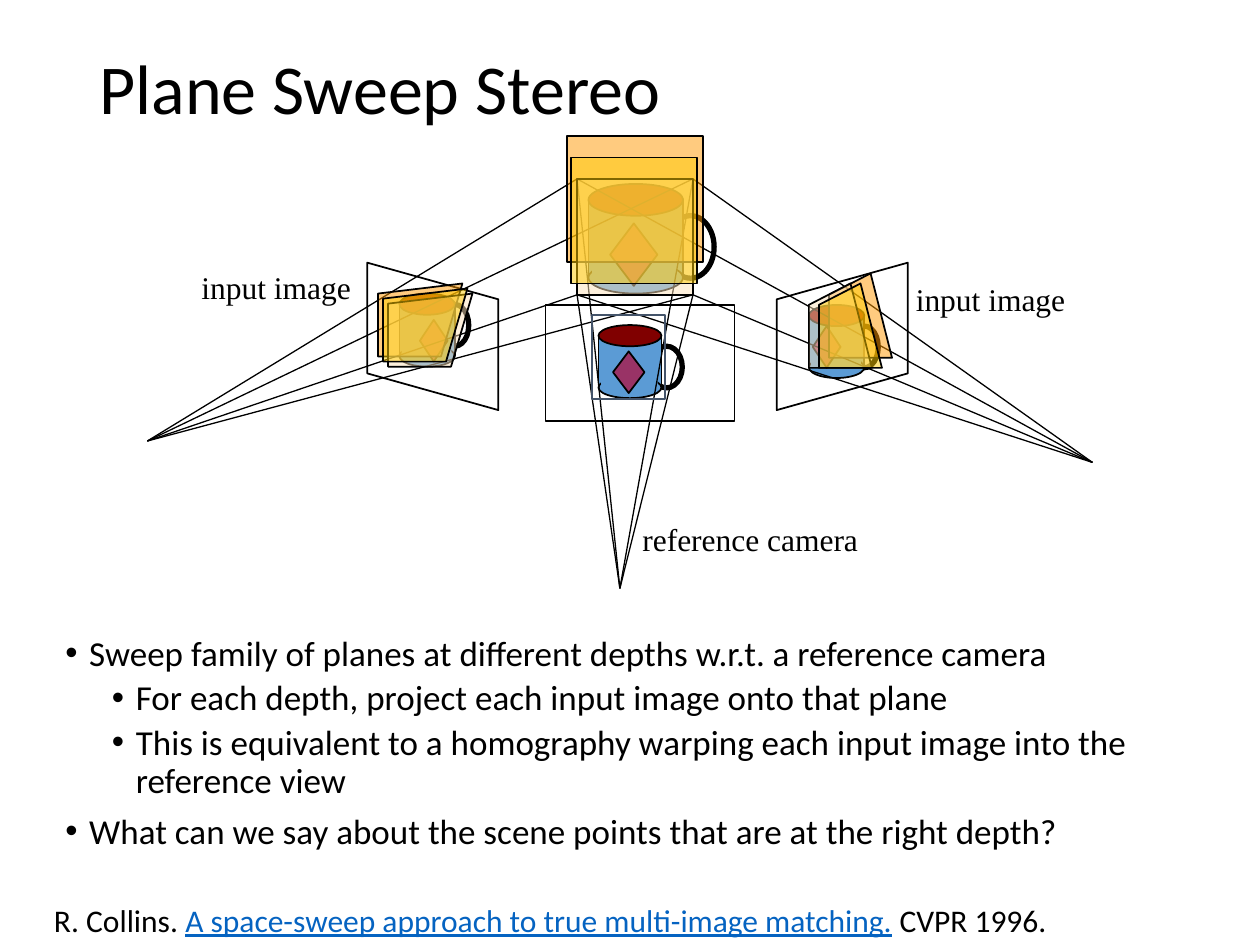
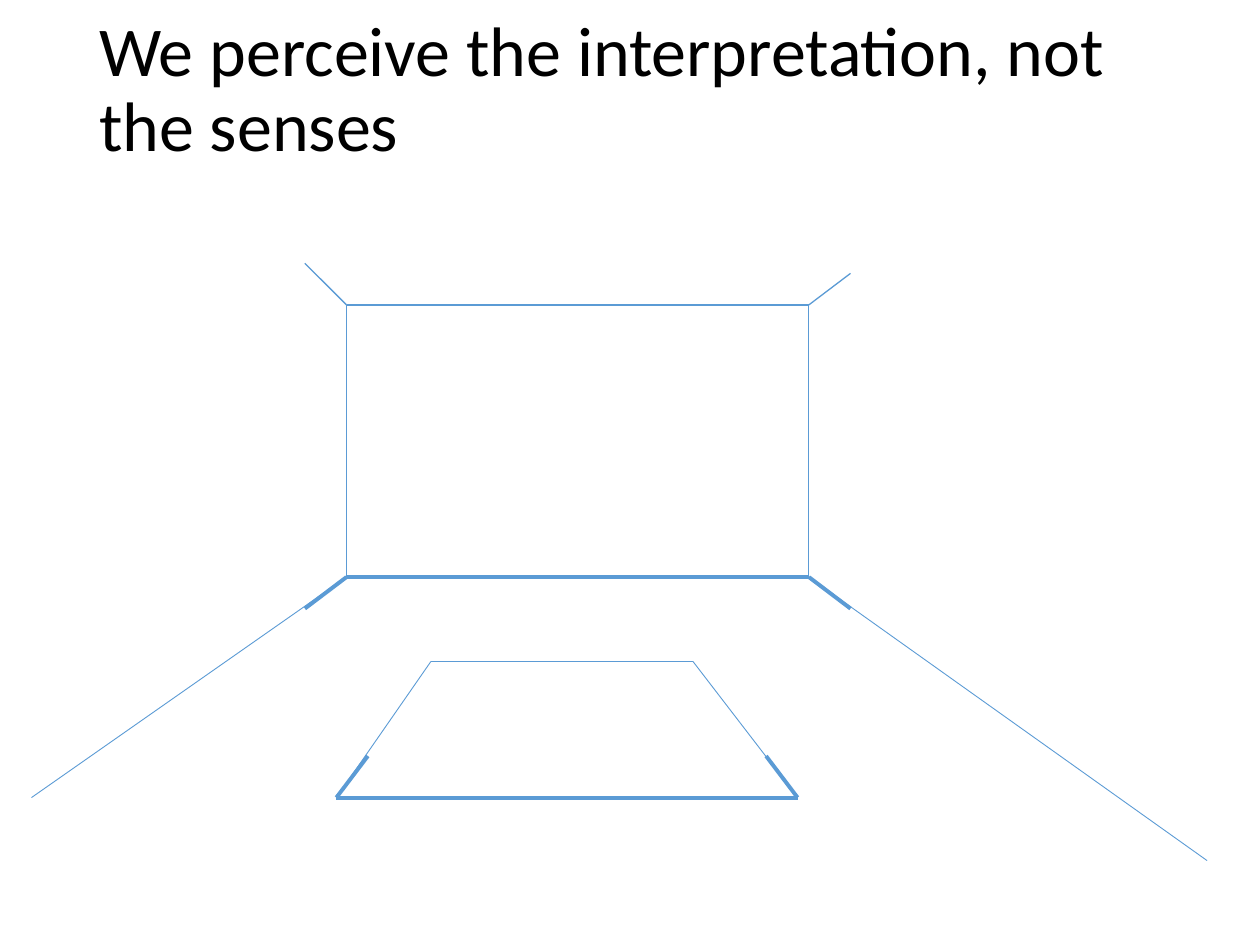
import pptx
import pptx.dml.color
import pptx.enum.shapes
import pptx.enum.text
import pptx.oxml.ns
import pptx.util
from lxml import etree

Inches = pptx.util.Inches
Pt = pptx.util.Pt
SHAPE = pptx.enum.shapes.MSO_SHAPE
ANCHOR = pptx.enum.text.MSO_ANCHOR
qn = pptx.oxml.ns.qn

COLORS = {
    "ink": "000000", "link": "0563C1", "blue": "5B9BD5", "slate": "44546A",
    "maroon": "800000", "plum": "993366",
    "orange": "FF9900", "cream": "FDE3BA", "yellow": "FFCC00",
}
TITLE_BOX = (0.69, 0, 8.62, 1.45)
SANS, SERIF = "Calibri", "Times New Roman"


def rgb(name):
    """Return the named palette colour."""
    return pptx.dml.color.RGBColor.from_string(COLORS[name])


def style(sp, fill=None, line=None, weight=1, alpha=None):
    """Set fill, outline and opacity of a shape and drop its shadow."""
    sp.shadow.inherit = False
    if fill:
        sp.fill.solid()
        sp.fill.fore_color.rgb = rgb(fill)
        if alpha:
            color = sp.fill._xPr.find(qn("a:solidFill"))[0]
            etree.SubElement(color, qn("a:alpha")).set("val", str(alpha * 1000))
    else:
        sp.fill.background()
    if line:
        sp.line.color.rgb = rgb(line)
        sp.line.width = Pt(weight)
    else:
        sp.line.fill.background()
    return sp


def add_preset(shapes, kind, box, **look):
    """Add a preset shape in a box given in inches."""
    return style(shapes.add_shape(kind, *map(Inches, box)), **look)


def add_outline(shapes, left, top, points, **look):
    """Add a closed outline whose points are offsets from left and top."""
    points = [(Inches(left + dx), Inches(top + dy)) for dx, dy in points]
    builder = shapes.build_freeform(*points[0], scale=1.0)
    builder.add_line_segments(points[1:], close=True)
    return style(builder.convert_to_shape(), **look)


def add_line(shapes, start, end, color, weight):
    """Add a straight line between two points."""
    line = shapes.add_connector(pptx.enum.shapes.MSO_CONNECTOR.STRAIGHT,
                                *map(Inches, (*start, *end)))
    line.line.color.rgb = rgb(color)
    line.line.width = Pt(weight)
    etree.SubElement(line._element.spPr, qn("a:effectLst"))


def add_frame(slide, box, anchor=ANCHOR.TOP):
    """Add a wrapping text box and return its text frame."""
    tf = slide.shapes.add_textbox(*map(Inches, box)).text_frame
    tf.word_wrap = True
    tf.vertical_anchor = anchor
    return tf


def write(p, text, size=18, font=SANS, color="ink", underline=None, spacing=None):
    """Append a formatted run to a paragraph."""
    if spacing:
        p.line_spacing = spacing
    r = p.add_run()
    r.text = text
    r.font.size = Pt(size)
    r.font.name = font
    r.font.color.rgb = rgb(color)
    r.font.underline = underline


def add_title(slide, text):
    """Add the shared slide title."""
    tf = add_frame(slide, TITLE_BOX, ANCHOR.MIDDLE)
    write(tf.paragraphs[0], text, size=40, spacing=0.9)


def add_label(slide, box, text):
    """Add a serif label to the diagram."""
    write(add_frame(slide, box).paragraphs[0], text, font=SERIF)


def add_bullets(slide, box, items):
    """Add bulleted text from pairs of level and wording."""
    tf = add_frame(slide, box)
    for i, (level, text) in enumerate(items):
        p = tf.add_paragraph() if i else tf.paragraphs[0]
        p.level = level
        pPr = p._p.get_or_add_pPr()
        pPr.set("marL", str(Inches(0.56 if level else 0.19)))
        pPr.set("indent", str(Inches(-0.19)))
        etree.SubElement(pPr, qn("a:buFont")).set("typeface", "Arial")
        etree.SubElement(pPr, qn("a:buChar")).set("char", "•")
        if i:
            p.space_before = Pt(3.8 if level else 7.5)
        write(p, text, size=20, spacing=0.9)


def add_mug(slide, box, handle=(0.83, 0.29), gem=(0.23, 0.36)):
    """Draw a mug in a box; handle and gem are offsets as shares of the box."""
    x, y, w, h = box
    shapes = slide.shapes.add_group_shape().shapes
    edge = {"line": "ink"}
    parts = [
        (SHAPE.OVAL, (*handle, 0.5, 0.57), {"line": "ink", "weight": 3}),
        (SHAPE.RECTANGLE, (0, 0.14, 1, 0.71), {"fill": "blue", **edge}),
        (SHAPE.OVAL, (0, 0.71, 1, 0.29), {"fill": "blue", **edge}),
        (SHAPE.OVAL, (0, 0, 1, 0.29), {"fill": "maroon", **edge}),
        (SHAPE.RECTANGLE, (0.04, 0.59, 0.9, 0.29), {"fill": "blue"}),
        (SHAPE.DIAMOND, (*gem, 0.5, 0.57), {"fill": "plum", **edge}),
    ]
    for kind, (dx, dy, dw, dh), look in parts:
        add_preset(shapes, kind, (x + dx * w, y + dy * h, dw * w, dh * h), **look)


def add_input_frame(slide, box, mirrored=False):
    """Draw the slanted frame of an input image."""
    sp = add_preset(slide.shapes, SHAPE.PARALLELOGRAM, box, line="ink")
    sp.adjustments[0] = 0.28
    sp.rotation = 270 if mirrored else 90
    if mirrored:
        sp._element.spPr.find(qn("a:xfrm")).set("flipH", "1")


def add_rays(slide, box, eye):
    """Join the four corners of a box to a camera centre."""
    x, y, w, h = box
    shapes = slide.shapes.add_group_shape().shapes
    for corner in ((x, y), (x + w, y), (x, y + h), (x + w, y + h)):
        add_line(shapes, corner, eye, "ink", 0.75)


def add_swept_plane(slide, box, left_at, right_at, fill):
    """Draw one depth plane and its projections in both input images."""
    shapes = slide.shapes.add_group_shape().shapes
    look = {"fill": fill, "alpha": 50, "line": "ink"}
    add_preset(shapes, SHAPE.RECTANGLE, box, **look)
    add_outline(shapes, *left_at, [(0, 0.08), (0.67, 0), (0.5, 0.58), (0, 0.58)], **look)
    add_outline(shapes, *right_at, [(0, 0.17), (0.33, 0), (0.5, 0.67), (0, 0.67)], **look)


def add_citation(slide, box):
    """Add the reference line at the foot of the slide."""
    p = add_frame(slide, box, ANCHOR.MIDDLE).paragraphs[0]
    write(p, "R. Collins. ")
    write(p, "A space-sweep approach to true multi-image matching.",
          color="link", underline=True)
    write(p, " CVPR 1996.")


def add_room(slide, box):
    """Draw the back wall in a box and the edges that run out from it."""
    x, y, w, h = box
    right, floor = x + w, y + h
    lines = [
        ((x, y), (right, y), 0.75),
        ((right, y), (right + 0.33, y - 0.25), 0.75),
        ((x, y), (x - 0.33, y - 0.33), 0.75),
        ((x, y), (x, floor), 0.5),
        ((right, y), (right, floor), 0.5),
        ((right, floor), (right + 3.16, floor + 2.25), 0.5),
        ((x, floor), (x - 2.5, floor + 1.75), 0.5),
        ((x, floor), (right, floor), 2.25),
        ((x, floor), (x - 0.33, floor + 0.25), 2.25),
        ((right, floor), (right + 0.33, floor + 0.25), 2.25),
    ]
    for start, end, weight in lines:
        add_line(slide.shapes, start, end, "blue", weight)


def add_rug(slide, box):
    """Draw the trapezoid on the floor with its near edge emphasised."""
    x, y, w, h = box
    right, near = x + w, y + h
    far_left, far_right = x + 0.75, right - 0.83
    lines = [
        ((x, near), (far_left, y), 0.5),
        ((far_left, y), (far_right, y), 0.5),
        ((far_right, y), (right, near), 0.5),
        ((x, near), (right, near), 2.25),
        ((x, near), (x + 0.25, near - 0.33), 2.25),
        ((right, near), (right - 0.25, near - 0.33), 2.25),
    ]
    for start, end, weight in lines:
        add_line(slide.shapes, start, end, "blue", weight)


def build_sweep_slide(slide):
    """Build the plane sweep stereo slide."""
    add_mug(slide, (4.67, 1.46, 0.75, 0.87))
    add_title(slide, "Plane Sweep Stereo")
    add_bullets(slide, (0.42, 5, 9.17, 1.36), [
        (0, "Sweep family of planes at different depths w.r.t. a reference camera"),
        (1, "For each depth, project each input image onto that plane"),
        (1, "This is equivalent to a homography warping each input image into the reference view"),
        (0, "What can we say about the scene points that are at the right depth?"),
    ])
    add_preset(slide.shapes, SHAPE.RECTANGLE, (4.33, 2.42, 1.5, 0.92), line="ink")
    add_input_frame(slide, (2.85, 2.15, 1.17, 1.04))
    add_input_frame(slide, (6.1, 2.15, 1.17, 1.04), mirrored=True)
    add_mug(slide, (4.75, 2.58, 0.5, 0.58))
    add_mug(slide, (6.42, 2.42, 0.44, 0.58), handle=(0.75, 0.29), gem=(0.07, 0.29))
    add_mug(slide, (3.17, 2.33, 0.44, 0.58), handle=(0.75, 0.15), gem=(0.37, 0.36))
    middle_plane = (4.58, 1.42, 0.92, 0.92)
    for eye in ((4.92, 4.67), (8.67, 3.67), (1.17, 3.5)):
        add_rays(slide, middle_plane, eye)
    add_label(slide, (5, 4.08, 1.92, 0.4), "reference camera")
    add_label(slide, (1.5, 2.08, 1.67, 0.4), "input image")
    add_preset(slide.shapes, SHAPE.RECTANGLE, (4.7, 2.5, 0.58, 0.67), line="slate")
    add_swept_plane(slide, (4.5, 1.08, 1.08, 1), (3, 2.25), (6.58, 2.17), "orange")
    add_swept_plane(slide, middle_plane, (3.08, 2.33), (6.42, 2.25), "cream")
    add_swept_plane(slide, (4.53, 1.25, 1, 1), (3.04, 2.29), (6.5, 2.25), "yellow")
    add_citation(slide, (0.33, 7.1, 9.42, 0.4))
    add_label(slide, (7.17, 2.17, 1.67, 0.4), "input image")


def build_perception_slide(slide):
    """Build the slide with the room drawing."""
    add_title(slide, "We perceive the interpretation, not the senses")
    add_room(slide, (2.75, 2.42, 3.67, 2.16))
    add_rug(slide, (2.67, 5.25, 3.66, 1.08))


def main():
    """Build both slides and save the presentation."""
    prs = pptx.Presentation()
    prs.slide_width, prs.slide_height = Inches(10), Inches(7.5)
    for build in (build_sweep_slide, build_perception_slide):
        build(prs.slides.add_slide(prs.slide_layouts[6]))
    prs.save("out.pptx")


if __name__ == "__main__":
    main()
